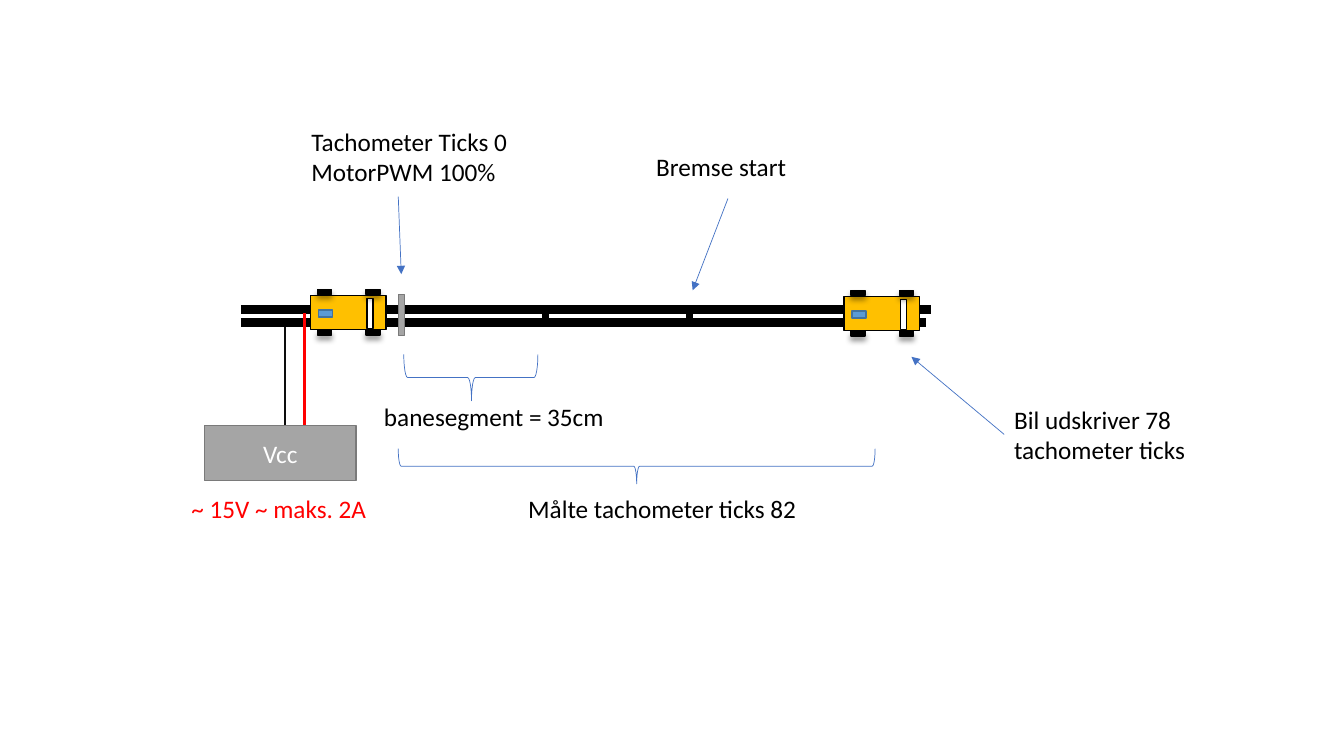
"""Build a slide showing a slot-car braking test on a track with tachometer readings."""
from lxml import etree
from pptx import Presentation
from pptx.dml.color import RGBColor
from pptx.enum.shapes import MSO_CONNECTOR, MSO_SHAPE
from pptx.enum.text import MSO_ANCHOR, MSO_AUTO_SIZE, PP_ALIGN
from pptx.oxml import parse_xml
from pptx.oxml.ns import nsdecls, qn
from pptx.util import Inches, Pt

RECT, BRACE = MSO_SHAPE.RECTANGLE, MSO_SHAPE.LEFT_BRACE
STRAIGHT = MSO_CONNECTOR.STRAIGHT
MIDDLE, CENTER = MSO_ANCHOR.MIDDLE, PP_ALIGN.CENTER
FIT_SHAPE = MSO_AUTO_SIZE.SHAPE_TO_FIT_TEXT


class Theme:
    font, size = "Calibri", Pt(18)
    black = RGBColor.from_string("000000")
    wire = RGBColor.from_string("0D0D0D")
    white = RGBColor.from_string("FFFFFF")
    red = RGBColor.from_string("FF0000")
    yellow = RGBColor.from_string("FFC000")
    light_blue = RGBColor.from_string("5B9BD5")
    dark_blue = RGBColor.from_string("43739E")
    blue = RGBColor.from_string("4472C4")
    gray = RGBColor.from_string("A5A5A5")
    dark_gray = RGBColor.from_string("7A7A7A")


WHEEL_SHADOW = (
    f'<a:effectLst {nsdecls("a")}><a:outerShdw blurRad="{Pt(4)}" dist="{Pt(3)}" dir="5400000">'
    '<a:srgbClr val="000000"><a:alpha val="40000"/></a:srgbClr></a:outerShdw></a:effectLst>'
)

prs = Presentation()
prs.slide_width, prs.slide_height = Inches(13.33), Inches(7.5)
s = prs.slides.add_slide(prs.slide_layouts[6])


def add_box(x, y, w, h, fill, line, width=1, kind=RECT):
    sp = s.shapes.add_shape(kind, Inches(x), Inches(y), Inches(w), Inches(h))
    sp.shadow.inherit = False
    if fill is None:
        sp.fill.background()
    else:
        sp.fill.solid()
        sp.fill.fore_color.rgb = fill
    sp.line.color.rgb = line
    sp.line.width = Pt(width)
    return sp


def add_line(x1, y1, x2, y2, color, width):
    cx = s.shapes.add_connector(STRAIGHT, Inches(x1), Inches(y1), Inches(x2), Inches(y2))
    cx.line.color.rgb = color
    cx.line.width = Pt(width)
    etree.SubElement(cx._element.spPr, qn("a:effectLst"))
    return cx


add_line(2.39, 3.07, 9.23, 3.07, Theme.black, 6)
add_line(2.39, 3.2, 9.18, 3.2, Theme.black, 6)
add_box(2.9, 3.12, 6.26, 0.03, Theme.white, Theme.white, 0.25)

add_line(2.83, 4.22, 2.83, 3.24, Theme.wire, 1.5)
add_line(3.02, 4.22, 3.02, 3.11, Theme.red, 1.5)

for x, y in [(3.08, 2.93), (8.37, 2.94)]:
    add_box(x + 0.13, y + 0.34, 0.42, 0.05, Theme.white, Theme.white)
    add_box(x, y, 0.75, 0.34, Theme.yellow, Theme.black)
    add_box(x + 0.56, y + 0.03, 0.06, 0.3, Theme.white, Theme.black)
    for dx in (0.07, 0.55):
        for dy in (-0.06, 0.345):
            wheel = add_box(x + dx, y + dy, 0.14, 0.05, Theme.black, Theme.black)
            wheel_pr = wheel._element.spPr
            wheel_pr.replace(wheel_pr.find(qn("a:effectLst")), parse_xml(WHEEL_SHADOW))
    add_box(x + 0.08, y + 0.145, 0.14, 0.07, Theme.light_blue, Theme.dark_blue)

supply = add_box(2.03, 4.22, 1.5, 0.55, Theme.gray, Theme.dark_gray)
tf = supply.text_frame
tf.vertical_anchor = MIDDLE
p = tf.paragraphs[0]
p.text, p.alignment = "Vcc", CENTER
p.font.name, p.font.size = Theme.font, Theme.size
p.font.color.rgb = Theme.white

add_box(3.95, 2.92, 0.06, 0.41, Theme.gray, Theme.dark_gray)
for x in (5.38, 6.81):
    add_box(x, 3.065, 0.06, 0.13, Theme.black, Theme.black)

for ends in [(3.95, 1.95, 3.98, 2.72), (7.22, 1.97, 6.87, 2.88), (9.96, 4.31, 9.04, 3.54)]:
    arrow = add_line(*ends, Theme.blue, 0.5)
    etree.SubElement(arrow.line._get_or_add_ln(), qn("a:tailEnd"), type="triangle")

for x, y, w, h, middle in [(4.44, 3.08, 0.46, 1.33, 0.505), (6.14, 2.26, 0.35, 4.73, 0.5)]:
    brace = add_box(x, y, w, h, None, Theme.blue, 0.5, BRACE)
    brace.rotation = 270
    brace.adjustments[1] = middle

LABELS = [
    (2.99, 1.2, 2.28, 0.71, "Tachometer Ticks 0\nMotorPWM 100%", Theme.black, True),
    (3.71, 3.93, 2.41, 0.4, "banesegment = 35cm", Theme.black, False),
    (6.41, 1.45, 1.5, 0.4, "Bremse start", Theme.black, False),
    (9.96, 3.96, 1.92, 0.71, "Bil udskriver 78 \ntachometer ticks", Theme.black, False),
    (1.8, 4.84, 1.95, 0.4, "~ 15V ~ maks. 2A", Theme.red, False),
    (5.14, 4.84, 2.89, 0.4, "Målte tachometer ticks 82", Theme.black, False),
]
for x, y, w, h, text, color, wrap in LABELS:
    tf = s.shapes.add_textbox(Inches(x), Inches(y), Inches(w), Inches(h)).text_frame
    tf.word_wrap, tf.auto_size = wrap, FIT_SHAPE
    p = tf.paragraphs[0]
    p.text = text
    p.font.name, p.font.size = Theme.font, Theme.size
    p.font.color.rgb = color

prs.save("out.pptx")
